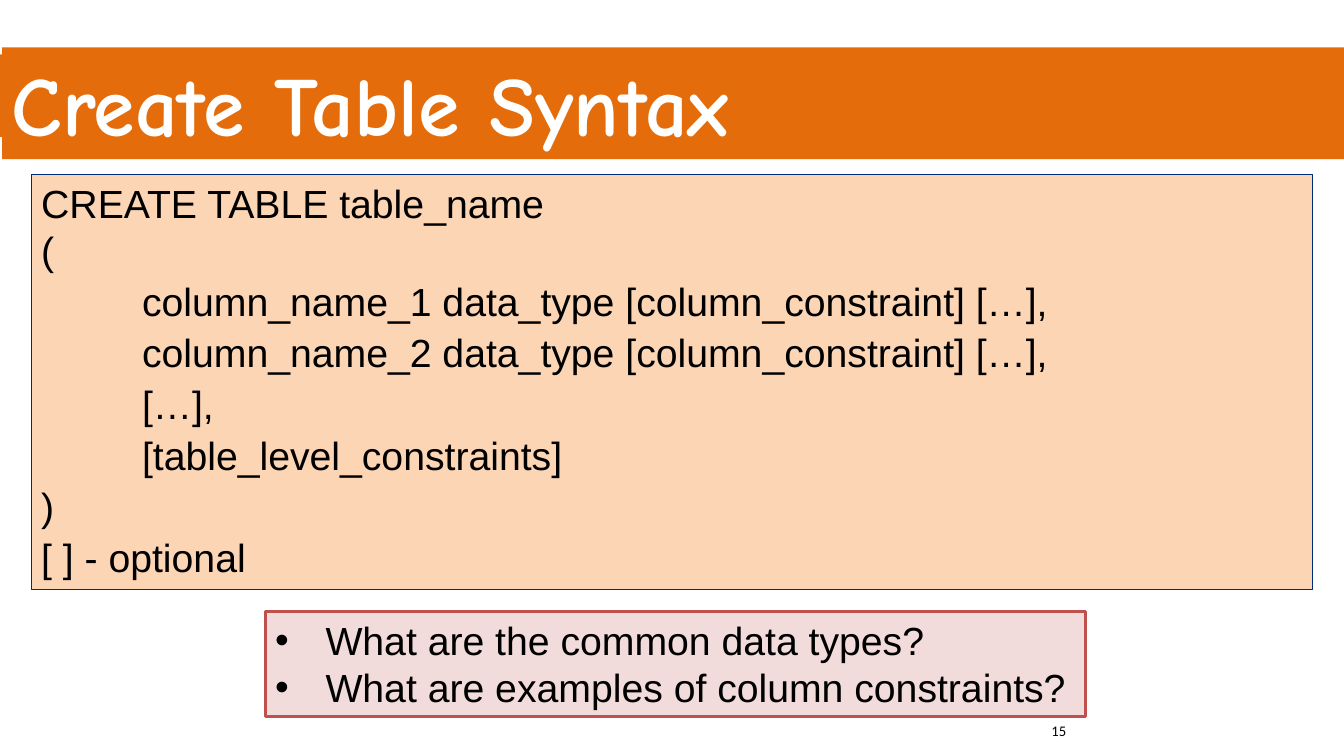
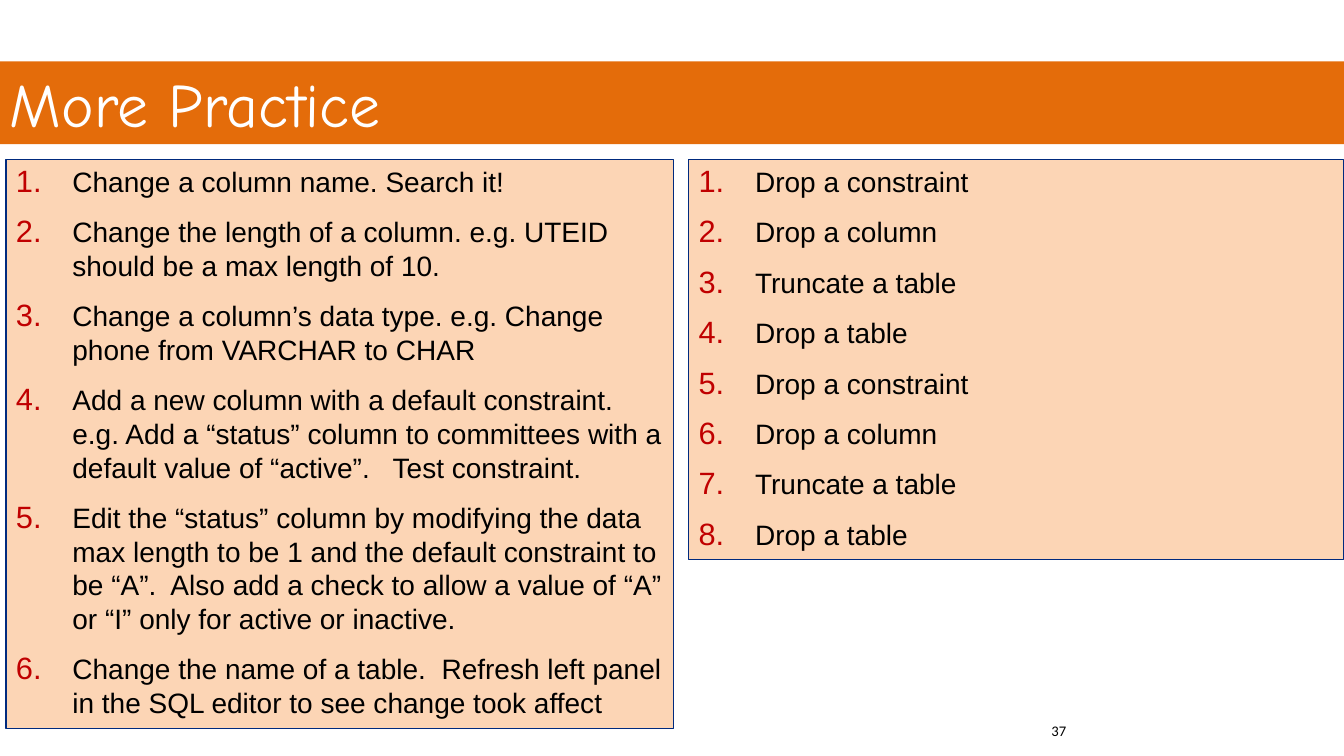
from lxml import etree
from pptx import Presentation
from pptx import util as u
from pptx.dml.color import RGBColor
from pptx.enum import shapes, text
from pptx.oxml import ns

ORANGE = RGBColor(0xE4, 0x6C, 0x0A)
PEACH = RGBColor(0xFC, 0xD5, 0xB5)
PINK = RGBColor(0xF2, 0xDC, 0xDB)
NAVY = RGBColor(0x00, 0x2A, 0x7E)
RED = RGBColor(0xC0, 0x50, 0x4D)
WHITE = RGBColor(0xFF, 0xFF, 0xFF)
BLACK = RGBColor(0x00, 0x00, 0x00)

WIDE, HIGH = u.Inches(13.33), u.Inches(7.5)
LEAD = 1.2  # line pitch as a multiple of the text size
BAND = 10.93  # band height, percent of the slide
TOP = 21.07  # top of the practice lists, percent of the slide

HEAD = {"name": "Comic Neue", "color": WHITE}
BODY = {"name": "Arial", "color": BLACK}
FOOT = {"name": "Calibri", "size": u.Pt(10.5), "color": BLACK}

CODE = [
    ("CREATE TABLE table_name\v(", 0),
    ("column_name_1 data_type [column_constraint] […],", 1),
    ("column_name_2 data_type [column_constraint] […],", 1),
    ("[…],", 1),
    ("[table_level_constraints]", 1),
    (")", 0),
    ("[ ] - optional", 0),
]
ASKS = [
    "What are the common data types?",
    "What are examples of column constraints?",
]
TASKS = [
    "Change a column name. Search it!",
    "Change the length of a column. e.g. UTEID should be a max length of 10.",
    "Change a column’s data type. e.g. Change phone from VARCHAR to CHAR",
    "Add a new column with a default constraint. e.g. Add a “status” column "
    "to committees with a default value of “active”.   Test constraint.",
    "Edit the “status” column by modifying the data max length to be 1 and "
    "the default constraint to be “A”.  Also add a check to allow a value of "
    "“A” or “I” only for active or inactive.",
    "Change the name of a table.  Refresh left panel in the SQL editor to see "
    "change took affect",
]
DROPS = ["Drop a constraint", "Drop a column", "Truncate a table",
         "Drop a table"] * 2


def place(left, top, width, height):
    """Turn percentages of the slide into lengths."""
    return [int(side * part / 100) for side, part in
            zip((WIDE, HIGH, WIDE, HIGH), (left, top, width, height))]


def style(font, form):
    """Set font attributes from a dict."""
    for key, val in form.items():
        if key == "color":
            font.color.rgb = val
        else:
            setattr(font, key, val)


def box(slide, area, fill, line=None, weight=0.75):
    """Add a filled rectangle, with an outline if a line colour is given."""
    shape = slide.shapes.add_shape(shapes.MSO_SHAPE.RECTANGLE, *place(*area))
    shape.shadow.inherit = False
    shape.fill.solid()
    shape.fill.fore_color.rgb = fill
    if line is None:
        shape.line.fill.background()
    else:
        shape.line.color.rgb = line
        shape.line.width = u.Pt(weight)
    shape.text_frame.word_wrap = True
    shape.text_frame.vertical_anchor = text.MSO_ANCHOR.TOP
    return shape


def write(para, words, form):
    """Fill a paragraph with left-aligned, styled text."""
    para.text = words
    para.alignment = text.PP_ALIGN.LEFT
    for run in para.runs:
        style(run.font, form)


def lines(shape, items, size, gaps):
    """Write items as evenly pitched paragraphs and return those."""
    frame = shape.text_frame
    paras = []
    for num, words in enumerate(items):
        para = frame.add_paragraph() if num else frame.paragraphs[0]
        write(para, words, {**BODY, "size": u.Pt(size)})
        form = {"line_spacing": u.Pt(size * LEAD), **gaps}
        for key, val in form.items():
            setattr(para, key, val)
        paras.append(para)
    return paras


def bullet(para, indent, marks):
    """Give a paragraph a hanging indent and the bullet parts in marks."""
    props = para._p.get_or_add_pPr()
    props.set("marL", str(u.Inches(indent)))
    props.set("indent", str(-u.Inches(indent)))
    for tag, attrs in marks:
        etree.SubElement(props, ns.qn(tag), attrs)


def number(slide, area, items):
    """Add a peach box that holds a numbered list."""
    shape = box(slide, area, PEACH, NAVY)
    gaps = {"space_before": u.Pt(6), "space_after": u.Pt(6)}
    for para in lines(shape, items, 20, gaps):
        bullet(para, 0.56, [("a:buClr", {}),
                            ("a:buSzPct", {"val": "110000"}),
                            ("a:buFont", {"typeface": "+mj-lt"}),
                            ("a:buAutoNum", {"type": "arabicPeriod"})])
        tint = para._p.pPr.find(ns.qn("a:buClr"))
        etree.SubElement(tint, ns.qn("a:srgbClr"), {"val": "C00000"})


def title(shape, words, form):
    """Write a slide title in its band."""
    write(shape.text_frame.paragraphs[0], words, {**HEAD, **form})


def start(deck, top, page):
    """Add a blank slide with band and page number; return slide and band."""
    slide = deck.slides.add_slide(deck.slide_layouts[6])
    band = box(slide, (0, top, 100, BAND), ORANGE)
    foot = slide.shapes.add_textbox(*place(77.5, 94.8, 22.5, 5.2))
    foot.text_frame.word_wrap = True
    write(foot.text_frame.paragraphs[0], page, FOOT)
    return slide, band


def syntax(deck):
    """Build the slide on table syntax."""
    slide, _ = start(deck, 7.2, "15")
    head = box(slide, (0.15, 6.27, 99.85, 14.8), ORANGE)
    title(head, "Create Table Syntax", {"size": u.Pt(60), "bold": True})
    code = box(slide, (2.33, 23.07, 95.35, 54.93), PEACH, NAVY)
    paras = lines(code, [words for words, _ in CODE], 28,
                  {"space_after": u.Pt(3)})
    for para, (_, depth) in zip(paras, CODE):
        para._p.get_or_add_pPr().set("marL", str(u.Inches(depth)))
    asks = box(slide, (19.73, 80.93, 61.07, 13.87), PINK, RED, 2.25)
    for para in lines(asks, ASKS, 28, {}):
        bullet(para, 0.5, [("a:buFont", {"typeface": "Arial"}),
                           ("a:buChar", {"char": "•"})])


def drill(deck):
    """Build the slide with practice lists."""
    slide, band = start(deck, 8.13, "37")
    band.text_frame.vertical_anchor = text.MSO_ANCHOR.MIDDLE
    title(band, "More Practice", {"size": u.Pt(44)})
    number(slide, (0.45, TOP, 49.66, 75.33), TASKS)
    number(slide, (51.24, TOP, 48.76, 52.93), DROPS)


def main():
    """Build and save the deck."""
    deck = Presentation()
    deck.slide_width, deck.slide_height = WIDE, HIGH
    syntax(deck)
    drill(deck)
    deck.save("out.pptx")


main()
